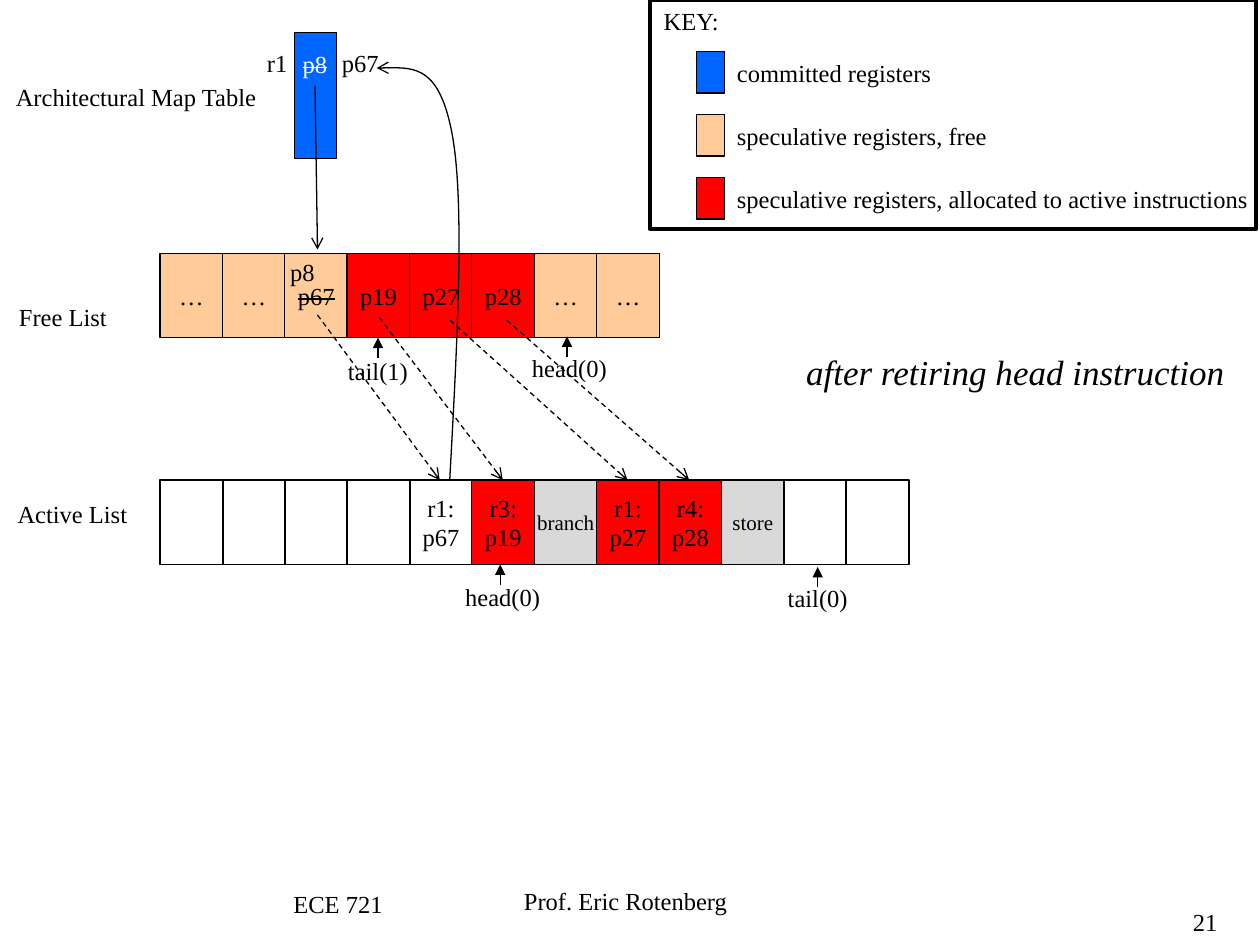
from dataclasses import dataclass, field
from typing import Optional

from lxml.etree import SubElement as Sub
from pptx import Presentation
from pptx.dml.color import RGBColor as Rgb
from pptx.enum.dml import MSO_LINE as Dash
from pptx.enum.shapes import MSO_CONNECTOR as Conn, MSO_SHAPE as Kind
from pptx.enum.text import MSO_ANCHOR as Anchor, PP_ALIGN as Align
from pptx.oxml.ns import qn
from pptx.util import Inches, Pt

HUES = {"black": "000000", "white": "FFFFFF", "blue": "0066FF",
        "peach": "FFCC99", "red": "FF0000", "grey": "D9D9D9"}
FONT = {"name": "Times New Roman", "size": Pt(14)}
PITCH, LEFT, WIDE, TALL = 0.495, 1.27, 0.5, 0.67
FREE_TOP, LIVE_TOP = 2.01, 3.81


@dataclass
class Label:
    text: str
    x: float
    y: float
    w: float
    h: float = 0.34
    align: Align = Align.CENTER
    hue: str = "black"
    style: dict = field(default_factory=dict)
    strike: bool = False
    wrap: bool = False


@dataclass
class Cell:
    text: str = ""
    hue: Optional[str] = None
    strike: bool = False
    small: bool = False


@dataclass
class Arrow:
    start: tuple
    end: tuple
    head: str = "arrow"
    dashed: bool = False


def paint(name: str) -> Rgb:
    return Rgb.from_string(HUES[name])


def write(frame, text: str, align=Align.CENTER, hue="black", style=None, strike=False) -> None:
    para = frame.paragraphs[0]
    para.alignment = align
    run = para.add_run()
    run.text = text
    for key, value in {**FONT, **(style or {})}.items():
        setattr(run.font, key, value)
    run.font.color.rgb = paint(hue)
    if strike:
        run.font._element.set("strike", "sngStrike")


def add_label(slide, item: Label) -> None:
    box = slide.shapes.add_textbox(*map(Inches, (item.x, item.y, item.w, item.h)))
    box.text_frame.word_wrap = item.wrap
    write(box.text_frame, item.text, item.align, item.hue, item.style, item.strike)


def add_box(slide, x: float, y: float, w: float, h: float,
            hue: Optional[str] = None, line: float = 0.75):
    box = slide.shapes.add_shape(Kind.RECTANGLE, *map(Inches, (x, y, w, h)))
    box.shadow.inherit = False
    if hue:
        box.fill.solid()
        box.fill.fore_color.rgb = paint(hue)
    else:
        box.fill.background()
    box.line.color.rgb = paint("black")
    box.line.width = Pt(line)
    return box


def add_row(slide, top: float, cells: list[Cell]) -> None:
    for i, cell in enumerate(cells):
        box = add_box(slide, LEFT + i * PITCH, top, WIDE, TALL, cell.hue)
        if not cell.text:
            continue
        frame = box.text_frame
        frame.vertical_anchor = Anchor.MIDDLE
        if cell.small:
            frame.margin_left = frame.margin_right = 0
        write(frame, cell.text, style={"size": Pt(12)} if cell.small else None,
              strike=cell.strike)


def style_line(shape, head: str) -> None:
    shape.line.color.rgb = paint("black")
    shape.line.width = Pt(0.75)
    Sub(shape.line._get_or_add_ln(), qn("a:tailEnd"), type=head)


def add_arrow(slide, item: Arrow) -> None:
    line = slide.shapes.add_connector(Conn.STRAIGHT, *map(Inches, item.start + item.end))
    if item.dashed:
        line.line.dash_style = Dash.DASH
    style_line(line, item.head)
    Sub(line._element.spPr, qn("a:effectLst"))


def add_curve(slide, start: tuple, bends: list[list[tuple]], right: float) -> None:
    """Draw a chain of cubic curves; right is its furthest reach."""
    end = bends[-1][-1]
    form = slide.shapes.build_freeform(Inches(start[0]), Inches(start[1]))
    form.add_line_segments([(Inches(right), Inches(end[1])),
                            (Inches(end[0]), Inches(end[1]))], close=False)
    shape = form.convert_to_shape()
    shape.shadow.inherit = False
    shape.fill.background()
    style_line(shape, "arrow")
    # Swap the straight legs for true curves
    track = shape._element.spPr.find(".//" + qn("a:path"))
    for leg in track.findall(qn("a:lnTo")):
        track.remove(leg)
    for bend in bends:
        node = Sub(track, qn("a:cubicBezTo"))
        for x, y in bend:
            Sub(node, qn("a:pt"), x=str(Inches(x) - shape.left), y=str(Inches(y) - shape.top))


def main() -> None:
    deck = Presentation()
    deck.slide_width, deck.slide_height = Inches(10), Inches(7.5)
    slide = deck.slides.add_slide(deck.slide_layouts[6])

    # Key
    add_box(slide, 5.16, 0, 4.81, 1.82, line=2.25)
    add_label(slide, Label("KEY:", 5.16, 0, 0.65))
    key = [("blue", "committed registers", 1.79),
           ("peach", "speculative registers, free", 2.2),
           ("red", "speculative registers, allocated to active instructions", 4.35)]
    for i, (hue, text, wide) in enumerate(key):
        top = 0.41 + i * 0.5
        add_box(slide, 5.53, top, 0.22, 0.33, hue)
        add_label(slide, Label(text, 5.75, top, wide, align=Align.LEFT))

    # Map table and both lists
    add_box(slide, 2.34, 0.26, 0.33, 1, "blue")
    dots = Cell("…", "peach")
    add_row(slide, FREE_TOP, [
        dots, dots, Cell("p67", "peach", strike=True),
        *(Cell(name, "red") for name in ("p19", "p27", "p28")), dots, dots])
    blank = Cell()
    add_row(slide, LIVE_TOP, [
        *[blank] * 4, Cell("r1: p67"), Cell("r3:p19", "red"),
        Cell("branch", "grey", small=True), Cell("r1:p27", "red"),
        Cell("r4:p28", "red"), Cell("store", "grey", small=True), blank, blank])

    # Labels and footer
    for item in [
        Label("Architectural Map Table", 0.02, 0.6, 2.12),
        Label("Free List", 0.05, 2.35, 0.9),
        Label("Active List", 0.04, 3.91, 1.07),
        Label("r1", 2.02, 0.33, 0.36),
        Label("p8", 2.3, 0.34, 0.4, hue="white", strike=True),
        Label("p67", 2.61, 0.33, 0.5, wrap=True),
        Label("p8", 2.2, 1.99, 0.4),
        Label("tail(1)", 2.66, 2.78, 0.68),
        Label("head(0)", 4.12, 2.75, 0.8),
        Label("head(0)", 3.59, 4.57, 0.8),
        Label("tail(0)", 6.15, 4.58, 0.68),
        Label("after retiring head instruction", 6.3, 2.73, 3.54, 0.44, Align.LEFT,
              style={"size": Pt(20), "italic": True}),
        Label("ECE 721", 2.23, 7.01, 2.08, 0.5, Align.LEFT, wrap=True),
        Label("Prof. Eric Rotenberg", 4.06, 6.98, 3.17, 0.5, Align.LEFT, wrap=True),
        Label("21", 7.68, 7.15, 2.08, 0.5, Align.RIGHT, wrap=True),
    ]:
        add_label(slide, item)

    # Head and tail marks
    for x, y in [(3, 2.68), (4.5, 2.67), (3.97, 4.48), (6.49, 4.5)]:
        add_arrow(slide, Arrow((x, y + 0.16), (x, y), "triangle"))

    # Links from free list to active list
    for start, x in [((2.52, 2.5), 3.49), ((3.01, 2.52), 3.99),
                     ((3.57, 2.54), 4.98), ((4.02, 2.54), 5.47)]:
        add_arrow(slide, Arrow(start, (x, LIVE_TOP), dashed=True))

    # Moves to and from the map table
    add_arrow(slide, Arrow((2.5, 0.68), (2.52, 1.98)))
    add_curve(slide, (3.57, LIVE_TOP),
              [[(3.63, 2.71), (3.69, 1.62), (3.59, 1.07)],
               [(3.49, 0.53), (3.24, 0.53), (2.99, 0.54)]], right=3.65)

    deck.save("out.pptx")


if __name__ == "__main__":
    main()
